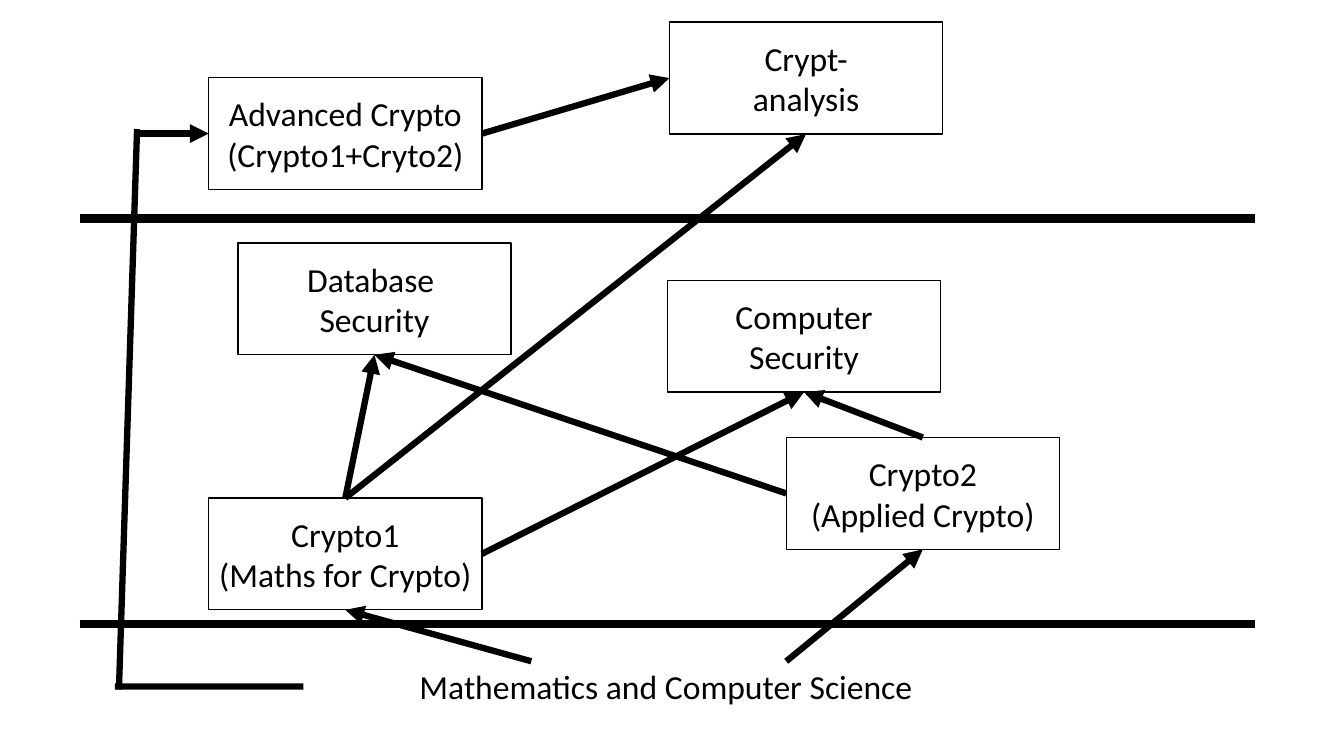
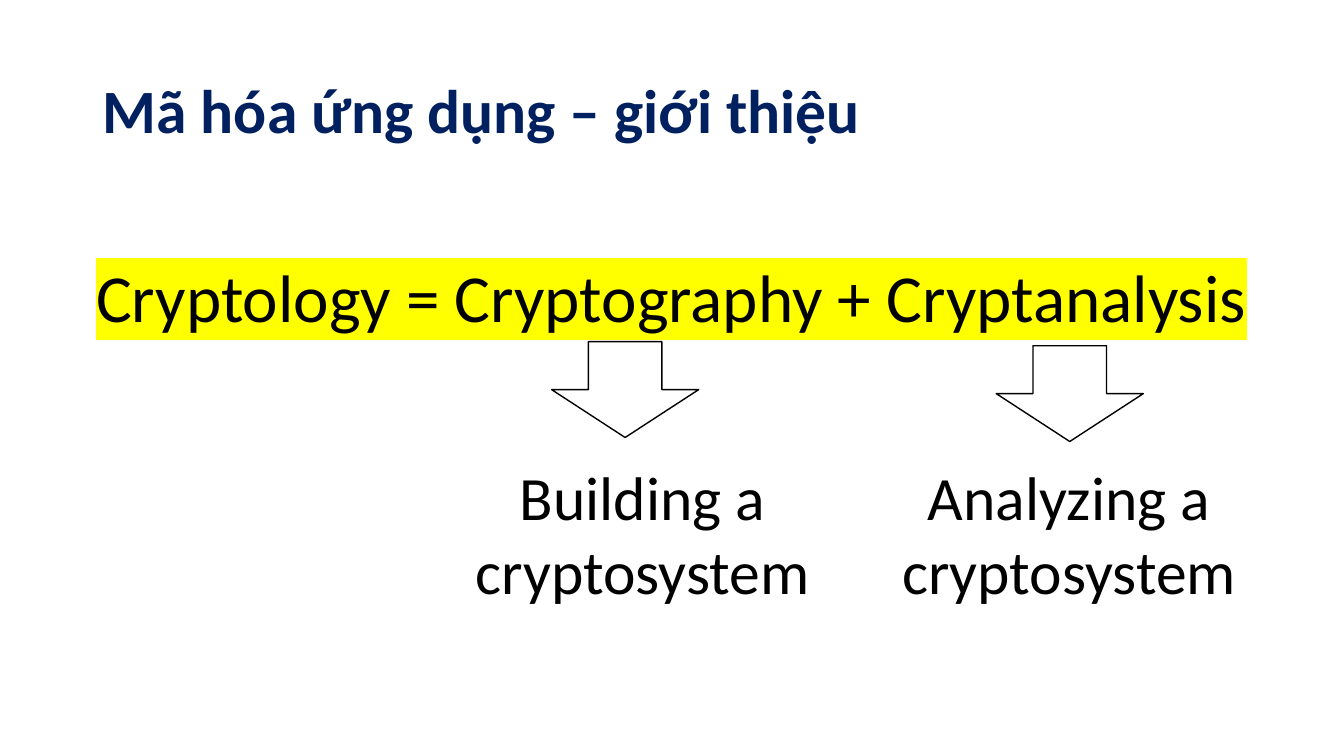
from dataclasses import dataclass

from lxml.etree import SubElement
from pptx import Presentation
from pptx.dml.color import RGBColor
from pptx.enum.shapes import MSO_CONNECTOR, MSO_SHAPE
from pptx.enum.text import MSO_ANCHOR, MSO_AUTO_SIZE, PP_ALIGN
from pptx.oxml.ns import qn
from pptx.util import Inches, Pt

WIDE, HIGH = Inches(13.33), Inches(7.5)
FONT = "Calibri"
INK, PAPER, NAVY, MARK = "000000", "FFFFFF", "002060", "FFFF00"
TOP, LEFT, BASE, RIGHT = range(4)  # connection sites


@dataclass
class Area:
    """A box on the slide, whose inner lengths are percentages."""
    left: int
    top: int
    width: int
    height: int

    def spot(self, x, y):
        return (int(self.left + self.width * x / 100),
                int(self.top + self.height * y / 100))

    def cell(self, x, y, w, h):
        return (*self.spot(x, y),
                int(self.width * w / 100), int(self.height * h / 100))


def tint(code):
    return RGBColor.from_string(code)


def style(para, size, color=INK, bold=False, align=PP_ALIGN.CENTER):
    para.alignment = align
    font = para.font
    font.name, font.size, font.bold = FONT, Pt(size), bold
    font.color.rgb = tint(color)


def write(frame, text, size):
    frame.word_wrap = True
    frame.text = text
    for para in frame.paragraphs:
        style(para, size)


def label(slide, place, text, size):
    box = slide.shapes.add_textbox(*place)
    write(box.text_frame, text, size)
    box.text_frame.auto_size = MSO_AUTO_SIZE.SHAPE_TO_FIT_TEXT
    return box


def block(slide, place, kind):
    shape = slide.shapes.add_shape(kind, *place)
    shape.shadow.inherit = False
    shape.fill.solid()
    shape.fill.fore_color.rgb = tint(PAPER)
    shape.line.color.rgb = tint(INK)
    shape.line.width = Pt(1)
    return shape


def link(slide, area, start, end, width=4.5, head=True):
    """Join two ends; each is a point (x, y) or a pair (shape, site)."""
    line = slide.shapes.add_connector(MSO_CONNECTOR.STRAIGHT, 0, 0, 0, 0)
    if isinstance(start[0], (int, float)):
        line.begin_x, line.begin_y = area.spot(*start)
    else:
        line.begin_connect(*start)
    if isinstance(end[0], (int, float)):
        line.end_x, line.end_y = area.spot(*end)
    else:
        line.end_connect(*end)
    line.line.color.rgb = tint(INK)
    line.line.width = Pt(width)
    props = line._element.spPr
    if head:
        SubElement(props.find(qn("a:ln")), qn("a:tailEnd"), type="triangle")
    SubElement(props, qn("a:effectLst"))


def course_map(slide, area):
    # Level dividers
    for y in (28.93, 82.53):
        link(slide, area, (5.93, y), (93.4, y), width=6, head=False)

    # Foundation
    roots = label(slide, area.cell(22.58, 87.47, 53.94, 6.67),
                  "Mathematics and Computer Science", 24)

    # Courses
    def course(x, y, text):
        box = block(slide, area.cell(x, y, 20.33, 14.8), MSO_SHAPE.RECTANGLE)
        write(box.text_frame, text, 24)
        box.text_frame.vertical_anchor = MSO_ANCHOR.MIDDLE
        return box

    maths = course(15.53, 65.87, "Crypto1\n(Maths for Crypto)")
    applied = course(58.5, 57.87, "Crypto2\n(Applied Crypto)")
    computer = course(49.66, 37.07, "Computer\vSecurity")
    database = course(17.7, 32.13, "Database \nSecurity")
    advanced = course(15.53, 10.27, "Advanced Crypto\n(Crypto1+Cryto2)")
    breaking = course(49.81, 2.93, "Crypt-\nanalysis")

    # Prerequisites
    for start, end in (
        ((39.53, 87.47), (maths, BASE)),
        ((58.5, 87.47), (applied, BASE)),
        ((maths, RIGHT), (computer, BASE)),
        ((applied, TOP), (computer, BASE)),
        ((maths, TOP), (database, BASE)),
        ((applied, LEFT), (database, BASE)),
        ((advanced, RIGHT), (breaking, LEFT)),
        ((maths, TOP), (breaking, BASE)),
        ((10.13, 17.67), (advanced, LEFT)),
    ):
        link(slide, area, start, end)

    # Outer route from the foundation to the advanced course
    link(slide, area, (roots, LEFT), (8.55, 90.8), head=False)
    link(slide, area, (8.85, 91.2), (10.2, 17.07), head=False)


def heading(slide, area, text):
    title = slide.shapes.title
    title.left, title.top, title.width, title.height = area.cell(
        6.9, 5.33, 86.27, 19.33)
    frame = title.text_frame
    frame.text = text
    frame.vertical_anchor = MSO_ANCHOR.MIDDLE
    para = frame.paragraphs[0]
    style(para, 44, NAVY, True, PP_ALIGN.LEFT)
    para.line_spacing = 0.9


def formula(slide, area):
    # Highlighted equation
    box = label(slide, area.cell(4.95, 33.07, 90.02, 12.13),
                "Cryptology = Cryptography + Cryptanalysis", 48)
    run = box.text_frame.paragraphs[0].runs[0]
    glow = SubElement(run._r.get_or_add_rPr(), qn("a:highlight"))
    SubElement(glow, qn("a:srgbClr"), val=MARK)

    # Meaning of each term
    for x, text, tip, y in (
        (31.96, "Building a cryptosystem", 41.04, 45.2),
        (63.69, "Analyzing a cryptosystem", 74.12, 45.73),
    ):
        label(slide, area.cell(x, 60, 31.73, 21.07), text, 44)
        block(slide, area.cell(tip, y, 10.95, 12.67), MSO_SHAPE.DOWN_ARROW)


def main():
    deck = Presentation()
    deck.slide_width, deck.slide_height = WIDE, HIGH
    page = Area(0, 0, WIDE, HIGH)

    course_map(deck.slides.add_slide(deck.slide_layouts[6]), page)

    intro = deck.slides.add_slide(deck.slide_layouts[5])
    heading(intro, page, "Mã hóa ứng dụng – giới thiệu")
    formula(intro, page)

    deck.save("out.pptx")


if __name__ == "__main__":
    main()
